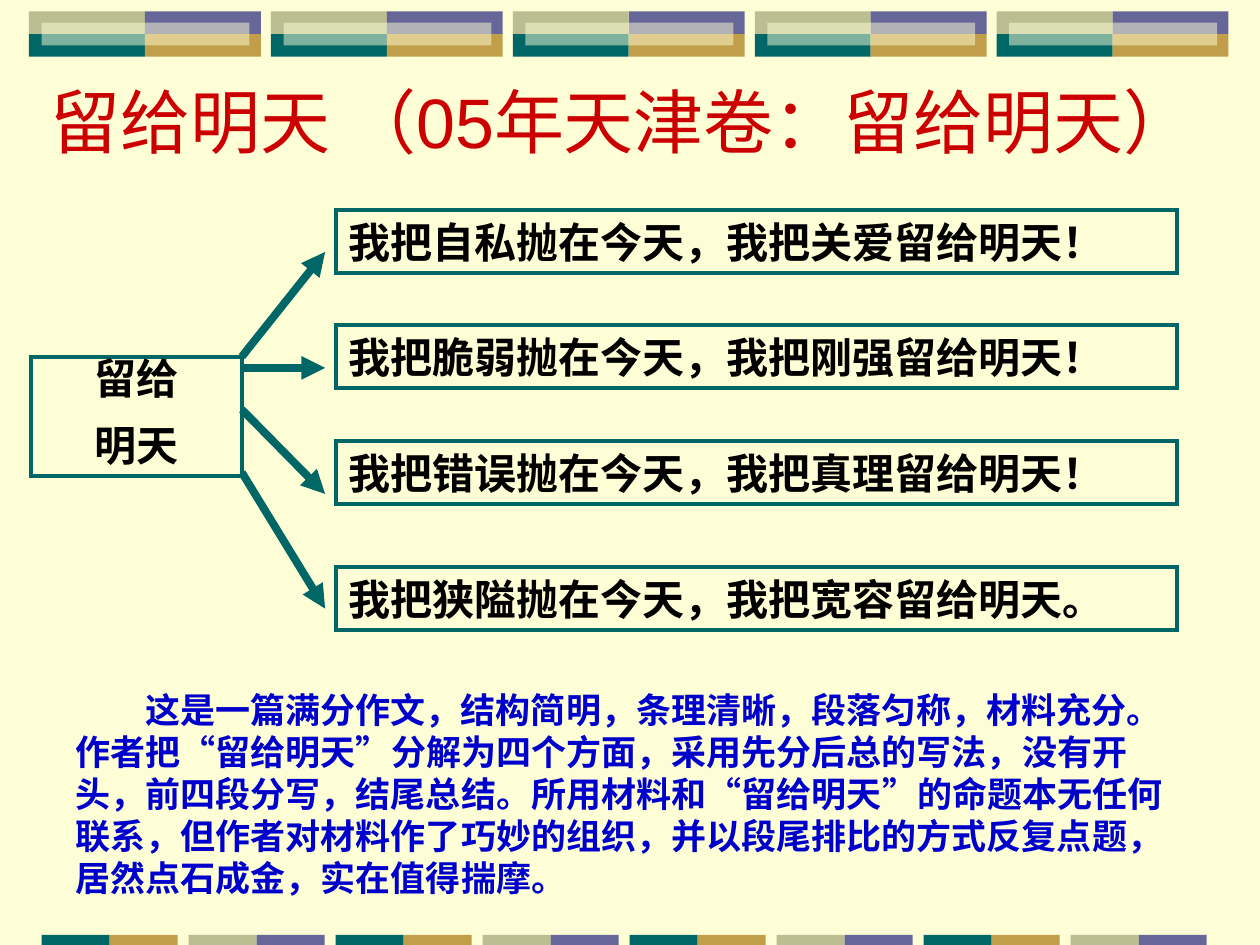
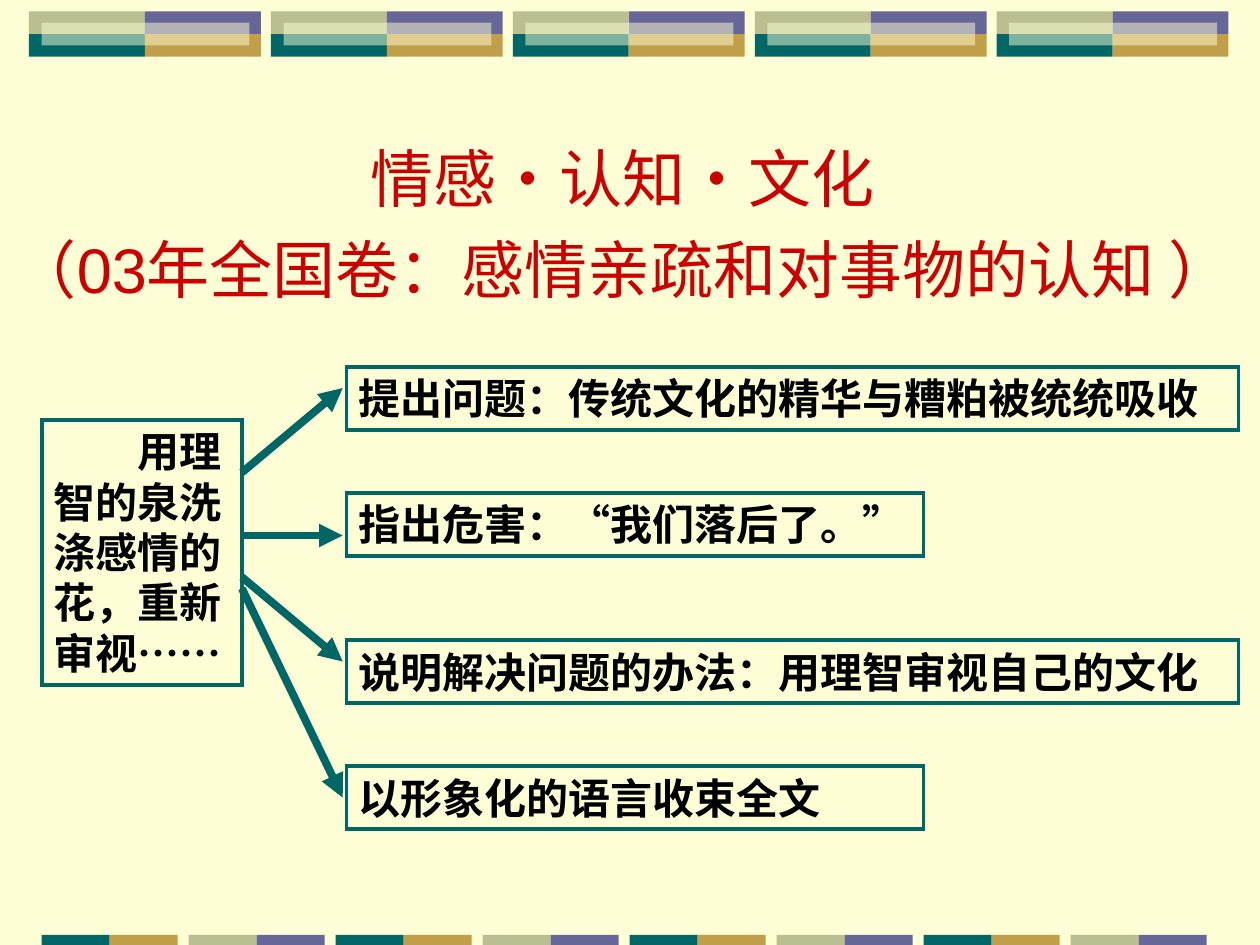
from lxml import etree
from pptx import Presentation
from pptx.dml.color import RGBColor
from pptx.enum import shapes, text
from pptx.oxml import ns
from pptx.util import Inches, Pt

CREAM = RGBColor(0xFE, 0xFE, 0xD6)
TEAL = RGBColor(0x00, 0x66, 0x66)
GOLD = RGBColor(0xC0, 0x9E, 0x4A)
PLUM = RGBColor(0x66, 0x66, 0x99)
SAGE = RGBColor(0xBA, 0xBE, 0x90)
RED = RGBColor(0xCC, 0x00, 0x00)
BLUE = RGBColor(0x00, 0x00, 0xCC)
BLACK = RGBColor(0x00, 0x00, 0x00)
LATIN = "Arial"
HAN = "Noto Sans CJK SC"
LEFT = text.PP_ALIGN.LEFT
MID = text.PP_ALIGN.CENTER


def write(frame, words, size=24, color=BLACK, bold=True, font=HAN, align=LEFT,
          anchor=text.MSO_ANCHOR.TOP, lead=1.2, gap=0, indent=0):
    frame.word_wrap = True
    frame.vertical_anchor = anchor
    frame.margin_left = frame.margin_right = Inches(0.1)
    frame.margin_top = frame.margin_bottom = Inches(0.05)
    for row, line in enumerate(words.split("\n")):
        para = frame.add_paragraph() if row else frame.paragraphs[0]
        para.alignment = align
        para.line_spacing = Pt(round(size * lead, 1))
        para.space_before = Pt(gap if row else 0)
        props = para._p.get_or_add_pPr()
        props.set("hangingPunct", "0")
        if indent:
            props.set("marL", "0")
            props.set("indent", str(Pt(size * indent)))
        for spot, part in enumerate(line.split("|")):
            run = para.add_run()
            run.text = part
            run.font.name = LATIN if spot % 2 else font
            run.font.size = Pt(size)
            run.font.bold = bold
            run.font.color.rgb = color
            east = etree.SubElement(run._r.rPr, ns.qn("a:ea"))
            east.set("typeface", HAN)


class Deck:
    def __init__(self):
        self.show = Presentation()
        self.show.slide_width = Inches(10)
        self.show.slide_height = Inches(7.5)
        self.slide = None

    def page(self):
        self.slide = self.show.slides.add_slide(self.show.slide_layouts[6])
        fill = self.slide.background.fill
        fill.solid()
        fill.fore_color.rgb = CREAM
        for col in range(5):
            self.tile(0.23 + 1.92 * col)
        for col in range(8):
            left = 0.33 + 7 / 6 * col
            pair = (SAGE, PLUM) if col % 2 else (TEAL, GOLD)
            for half, color in enumerate(pair):
                self.rect(left + 0.54 * half, 7.42, 0.54, 0.08, color)

    def tile(self, left):
        for row, pair in enumerate(((SAGE, PLUM), (TEAL, GOLD))):
            for col, color in enumerate(pair):
                self.rect(left + 0.92 * col, 0.09 + 0.18 * row, 0.92, 0.18, color)
        glass = self.rect(left + 0.1, 0.18, 1.65, 0.18, CREAM)
        tint = glass._element.spPr.find(".//" + ns.qn("a:srgbClr"))
        etree.SubElement(tint, ns.qn("a:alpha")).set("val", "50000")

    def rect(self, left, top, width, height, color=None):
        shape = self.slide.shapes.add_shape(
            shapes.MSO_SHAPE.RECTANGLE,
            Inches(left), Inches(top), Inches(width), Inches(height))
        shape.shadow.inherit = False
        if color is None:
            shape.fill.background()
            shape.line.color.rgb = TEAL
            shape.line.width = Pt(2.25)
            join = etree.SubElement(shape.line._get_or_add_ln(), ns.qn("a:miter"))
            join.set("lim", "800000")
        else:
            shape.fill.solid()
            shape.fill.fore_color.rgb = color
            shape.line.fill.background()
        return shape

    def box(self, words, left, top, width, height=0.5, **style):
        write(self.rect(left, top, width, height).text_frame, words, **style)

    def note(self, words, left, top, width, height, **style):
        area = self.slide.shapes.add_textbox(
            Inches(left), Inches(top), Inches(width), Inches(height))
        write(area.text_frame, words, anchor=text.MSO_ANCHOR.MIDDLE, **style)

    def title(self, words, top, height, size, lead=1.2):
        self.note(words, 0, top, 10, height, size=size, lead=lead,
                  color=RED, bold=False, font=LATIN, align=MID)

    def arrow(self, start, end):
        points = [Inches(value) for value in (*start, *end)]
        link = self.slide.shapes.add_connector(shapes.MSO_CONNECTOR.STRAIGHT, *points)
        link.line.color.rgb = TEAL
        link.line.width = Pt(4.5)
        tip = etree.SubElement(link.line._get_or_add_ln(), ns.qn("a:tailEnd"))
        tip.set("type", "triangle")
        etree.SubElement(link._element.spPr, ns.qn("a:effectLst"))

    def fan(self, left, tip, items):
        for words, top, width, start, end in items:
            self.box(words, left, top, width)
            self.arrow((1.92, start), (tip, end))


def essay(deck):
    deck.page()
    deck.title("留给明天 （05年天津卷：留给明天） ", 0.33, 1.25, 40)
    deck.box("留给\n明天", 0.25, 2.83, 1.67, 0.95, align=MID, lead=0.96, gap=15)
    deck.fan(2.67, 2.58, (
        ("我把自私抛在今天，我把关爱留给明天！", 1.67, 6.67, 2.83, 2),
        ("我把脆弱抛在今天，我把刚强留给明天！", 2.58, 6.67, 2.92, 2.92),
        ("我把错误抛在今天，我把真理留给明天！", 3.5, 6.67, 3.25, 3.92),
        ("我把狭隘抛在今天，我把宽容留给明天。", 4.5, 6.67, 3.75, 4.83),
    ))
    deck.note(
        "这是一篇满分作文，结构简明，条理清晰，段落匀称，材料充分。"
        "作者把|“|留给明天|”|分解为四个方面，采用先分后总的写法，没有开头，"
        "前四段分写，结尾总结。所用材料和|“|留给明天|”|的命题本无任何联系，"
        "但作者对材料作了巧妙的组织，并以段尾排比的方式反复点题，"
        "居然点石成金，实在值得揣摩。",
        0.5, 5.41, 8.92, 1.77, size=20, color=BLUE, indent=2)


def culture(deck):
    deck.page()
    deck.title("情感•认知•文化 \n（03年全国卷：感情亲疏和对事物的认知 ） ",
               1, 1.42, 36, lead=1.44)
    deck.box("用理智的泉洗涤感情的花，重新审视……", 0.33, 3.33, 1.59, 2.11, indent=2)
    deck.fan(2.75, 2.72, (
        ("提出问题：传统文化的精华与糟粕被统统吸收", 2.91, 7.08, 3.75, 3.08),
        ("指出危害：“我们落后了。”", 3.91, 4.58, 4.25, 4.25),
        ("说明解决问题的办法：用理智审视自己的文化", 5.08, 7.08, 4.58, 5.25),
        ("以形象化的语言收束全文", 6.08, 4.58, 4.67, 6.33),
    ))


def main():
    deck = Deck()
    essay(deck)
    culture(deck)
    deck.show.save("out.pptx")


if __name__ == "__main__":
    main()
